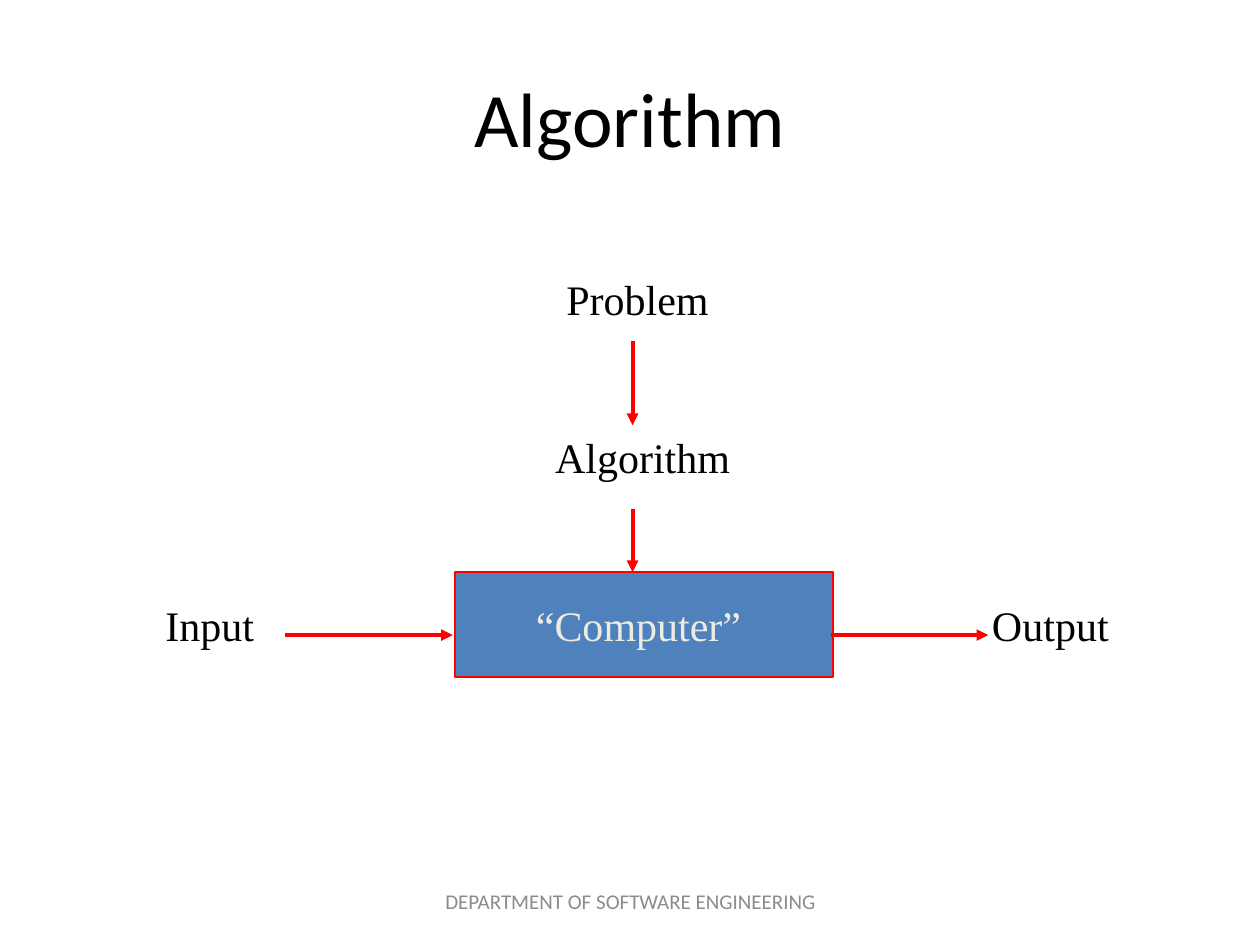
from lxml import etree
from pptx import Presentation
from pptx.dml.color import RGBColor
from pptx.enum.shapes import MSO_CONNECTOR, MSO_SHAPE
from pptx.enum.text import MSO_ANCHOR, PP_ALIGN
from pptx.oxml.ns import qn
from pptx.util import Pt

STRAIGHT = MSO_CONNECTOR.STRAIGHT
RECT = MSO_SHAPE.RECTANGLE
TOP, MIDDLE = MSO_ANCHOR.TOP, MSO_ANCHOR.MIDDLE
CENTER = PP_ALIGN.CENTER

RED = "FF0000"
TITLE = ("Algorithm", (36, 21.6, 648, 90))
FOOTER = ("DEPARTMENT OF SOFTWARE ENGINEERING", (246.25, 500.4, 228.25, 28.8))
COMPUTER = ("“Computer” ", (259.9, 327, 216, 60))
LABELS = [
    ("Problem", (313.9, 152.6, 100.8, 37.4), True),
    ("Algorithm", (309.6, 243.2, 115.2, 36), False),
    ("Input", (72.7, 339, 94.3, 37.4), True),
    ("Output", (553, 339, 94.3, 37.4), True),
]
DOWN_X, ACROSS_Y = 361.5, 362.9
DOWN_SPANS = [(195, 243), (291, 327)]
ACROSS_SPANS = [(162.75, 258.75), (474.75, 564.75)]


def color(value):
    return RGBColor.from_string(value)


def write(sp, text, size=24, font="Times New Roman", fill="000000", anchor=TOP, wrap=True):
    tf = sp.text_frame
    tf.word_wrap = wrap
    tf.vertical_anchor = anchor
    p = tf.paragraphs[0]
    p.alignment = CENTER
    r = p.add_run()
    r.text = text
    r.font.size = Pt(size)
    r.font.name = font
    r.font.color.rgb = color(fill)


def add_text(s, text, box, **fmt):
    write(s.shapes.add_textbox(*map(Pt, box)), text, **fmt)


def add_arrow(s, x1, y1, x2, y2):
    c = s.shapes.add_connector(STRAIGHT, Pt(x1), Pt(y1), Pt(x2), Pt(y2))
    c.line.color.rgb = color(RED)
    c.line.width = Pt(2.25)
    etree.SubElement(c.line._get_or_add_ln(), qn("a:tailEnd"), type="triangle")
    etree.SubElement(c._element.spPr, qn("a:effectLst"))


def main():
    prs = Presentation()
    prs.slide_width, prs.slide_height = Pt(720), Pt(540)
    s = prs.slides.add_slide(prs.slide_layouts[6])

    text, box = TITLE
    add_text(s, text, box, size=44, font="Calibri", anchor=MIDDLE)

    text, box = COMPUTER
    sp = s.shapes.add_shape(RECT, *map(Pt, box))
    sp.shadow.inherit = False
    sp.fill.solid()
    sp.fill.fore_color.rgb = color("4F81BD")
    sp.line.color.rgb = color(RED)
    sp.line.width = Pt(1)
    write(sp, text, fill="EEECE1", anchor=MIDDLE, wrap=False)

    for text, box, wrap in LABELS:
        add_text(s, text, box, wrap=wrap)
    for start, end in DOWN_SPANS:
        add_arrow(s, DOWN_X, start, DOWN_X, end)
    for start, end in ACROSS_SPANS:
        add_arrow(s, start, ACROSS_Y, end, ACROSS_Y)

    text, box = FOOTER
    add_text(s, text, box, size=12, font="Calibri", fill="8C8C8C", anchor=MIDDLE)
    prs.save("out.pptx")


if __name__ == "__main__":
    main()
